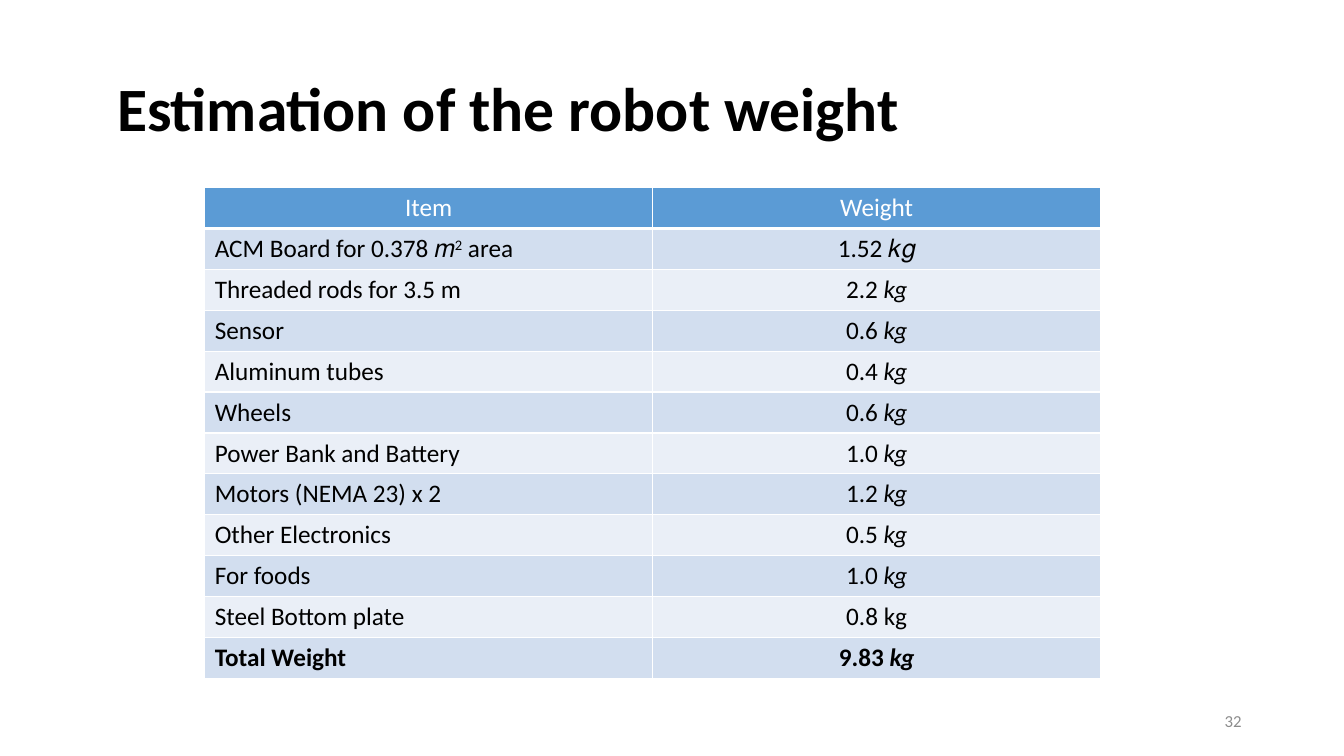
from dataclasses import dataclass

from lxml.etree import SubElement
from pptx import Presentation
from pptx.dml.color import RGBColor
from pptx.enum.text import MSO_ANCHOR as Anchor, PP_ALIGN as Align
from pptx.oxml.ns import qn
from pptx.util import Cm, Pt

# Content: a cell is a list of (text, style) runs
TITLE = "Estimation of the robot weight"
PAGE = "32"
HEADER = ("Item", "Weight")
BOARD = [("ACM Board for 0.378 𝑚", ""), ("2", "super"), (" area", "")]


def kilograms(value):
    return [(f"{value} ", ""), ("kg", "italic")]


WEIGHTS = [
    (BOARD, [("1.52 𝑘𝑔", "")]),
    ("Threaded rods for 3.5 m", kilograms("2.2")),
    ("Sensor", kilograms("0.6")),
    ("Aluminum tubes", kilograms("0.4")),
    ("Wheels", kilograms("0.6")),
    ("Power Bank and Battery", kilograms("1.0")),
    ("Motors (NEMA 23) x 2", kilograms("1.2")),
    ("Other Electronics", kilograms("0.5")),
    ("For foods", kilograms("1.0")),
    ("Steel Bottom plate", "0.8 kg"),
    ("Total Weight", kilograms("9.83")),
]


@dataclass(frozen=True)
class Theme:
    font: str = "Calibri"
    text: str = "000000"
    light: str = "FFFFFF"
    muted: str = "8C8C8C"
    header: str = "5B9BD5"
    bands: tuple = ("D2DEEF", "EAEFF7")
    title_size: int = 44
    table_size: int = 18
    page_size: int = 12
    rule: int = 1
    header_rule: int = 3


THEME = Theme()


def write(paragraph, runs, size, color, bold=False, align=Align.LEFT):
    paragraph.alignment = align
    for text, style in [(runs, "")] if isinstance(runs, str) else runs:
        run = paragraph.add_run()
        run.text = text
        font = run.font
        font.name, font.size, font.bold = THEME.font, Pt(size), bold
        font.color.rgb = RGBColor.from_string(color)
        font.italic = style == "italic"
        if style == "super":
            font._element.set("baseline", "30000")


def add_text(slide, box, text, size, color, anchor, **style):
    frame = slide.shapes.add_textbox(*map(Cm, box)).text_frame
    frame.word_wrap = True
    frame.vertical_anchor = anchor
    write(frame.paragraphs[0], text, size, color, **style)
    return frame


def set_borders(cell, widths):
    properties = cell._tc.get_or_add_tcPr()
    for side, width in zip("LRTB", widths):
        line = SubElement(properties, qn(f"a:ln{side}"), w=str(Pt(width)))
        fill = SubElement(line, qn("a:solidFill"))
        SubElement(fill, qn("a:srgbClr"), val=THEME.light)


def add_weight_table(slide, left, top, column_width, row_height):
    rows = [HEADER] + WEIGHTS
    table = slide.shapes.add_table(
        len(rows), len(HEADER), Cm(left), Cm(top),
        Cm(column_width * len(HEADER)), Cm(row_height * len(rows))).table
    for column in table.columns:
        column.width = Cm(column_width)
    for r, row in enumerate(rows):
        table.rows[r].height = Cm(row_height)
        is_header, is_total = r == 0, r == len(rows) - 1
        background = THEME.header if is_header else THEME.bands[(r - 1) % 2]
        top_rule = THEME.header_rule if r == 1 else THEME.rule
        bottom_rule = THEME.header_rule if is_header else THEME.rule
        for c, runs in enumerate(row):
            cell = table.cell(r, c)
            set_borders(cell, (THEME.rule, THEME.rule, top_rule, bottom_rule))
            cell.fill.solid()
            cell.fill.fore_color.rgb = RGBColor.from_string(background)
            write(cell.text_frame.paragraphs[0], runs, THEME.table_size,
                  THEME.light if is_header else THEME.text, bold=is_total,
                  align=Align.CENTER if is_header or c == 1 else Align.LEFT)


def main():
    deck = Presentation()
    deck.slide_width, deck.slide_height = Cm(33.87), Cm(19.05)
    slide = deck.slides.add_slide(deck.slide_layouts[6])

    # Title
    title = add_text(slide, (2.7, 0.94, 22.9, 2.84), TITLE, THEME.title_size,
                     THEME.text, Anchor.BOTTOM, bold=True)
    title.paragraphs[0].line_spacing = 0.9

    # Weight table
    add_weight_table(slide, left=5.16, top=4.73, column_width=11.29, row_height=1.03)

    # Page number
    add_text(slide, (23.92, 17.66, 7.62, 1.01), PAGE, THEME.page_size,
             THEME.muted, Anchor.MIDDLE, align=Align.RIGHT)

    deck.save("out.pptx")


if __name__ == "__main__":
    main()
